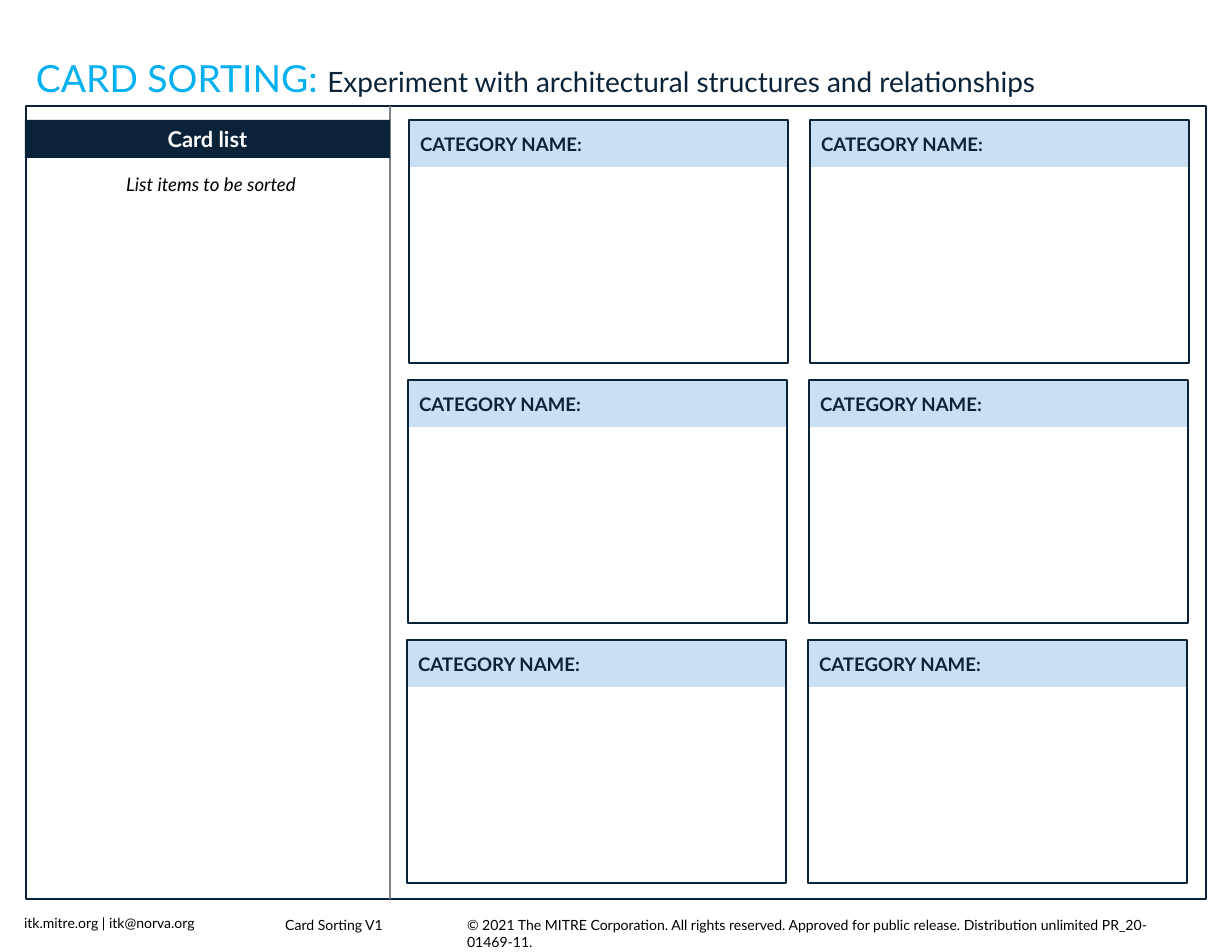
from dataclasses import dataclass
from typing import NamedTuple

from lxml import etree
from pptx import Presentation
from pptx.dml.color import RGBColor
from pptx.enum.shapes import MSO_CONNECTOR, MSO_SHAPE
from pptx.enum.text import MSO_ANCHOR, PP_ALIGN
from pptx.oxml.ns import qn
from pptx.util import Emu, Pt

RECTANGLE = MSO_SHAPE.RECTANGLE
STRAIGHT = MSO_CONNECTOR.STRAIGHT
TOP, MIDDLE = MSO_ANCHOR.TOP, MSO_ANCHOR.MIDDLE
LEFT, CENTER = PP_ALIGN.LEFT, PP_ALIGN.CENTER
PX_PER_INCH = 112


@dataclass(frozen=True)
class Theme:
    font: str = "Lato"
    navy: str = "0B2338"
    cyan: str = "00B0F0"
    pale_blue: str = "C8DFF4"
    gray: str = "7E8284"
    white: str = "FFFFFF"
    black: str = "000000"
    title_size: int = 24
    subtitle_size: int = 18
    list_heading_size: int = 14
    body_size: int = 12
    footer_size: int = 9
    border: float = 1.5
    hairline: float = 0.75


class Box(NamedTuple):
    left: int
    top: int
    width: int
    height: int


class Span(NamedTuple):
    text: str
    size: int
    color: str
    bold: bool = False
    italic: bool = False


@dataclass(frozen=True)
class Label:
    box: Box
    spans: tuple[Span, ...]
    align: PP_ALIGN = LEFT
    wrap: bool = True


THEME = Theme()
FRAME = Box(26, 106, 1180, 793)
LIST_HEADING = Box(25, 120, 365, 38)
DIVIDER_X = 390
CARD = Box(409, 120, 379, 243)
CARD_COLUMNS, CARD_ROWS = 2, 3
COLUMN_STEP, ROW_STEP = 401, 260
ROW_DRIFT = 1
CATEGORY_HEIGHT = 46

LABELS = (
    Label(Box(25, 50, 1167, 56), (
        Span("CARD SORTING: ", THEME.title_size, THEME.cyan),
        Span("Experiment with architectural structures and relationships",
             THEME.subtitle_size, THEME.navy))),
    Label(Box(35, 167, 352, 34), (
        Span("List items to be sorted", THEME.body_size, THEME.black, italic=True),), CENTER),
    Label(Box(13, 909, 193, 28), (
        Span("itk.mitre.org | itk@norva.org", THEME.footer_size, THEME.black),), wrap=False),
    Label(Box(456, 911, 714, 28), (
        Span("© 2021 The MITRE Corporation. All rights reserved. Approved for public "
             "release. Distribution unlimited PR_20-01469-11.",
             THEME.footer_size, THEME.black),)),
    Label(Box(274, 911, 120, 28), (
        Span("Card Sorting V1", THEME.footer_size, THEME.black),), CENTER, wrap=False),
)


def px(length: int) -> Emu:
    return Emu(round(length * 914400 / PX_PER_INCH))


def place(box: Box) -> tuple[Emu, ...]:
    return tuple(px(length) for length in box)


def write(frame, spans: tuple[Span, ...], align: PP_ALIGN) -> None:
    paragraph = frame.paragraphs[0]
    paragraph.alignment = align
    for span in spans:
        run = paragraph.add_run()
        run.text = span.text
        run.font.name = THEME.font
        run.font.size = Pt(span.size)
        run.font.bold = span.bold
        run.font.italic = span.italic
        run.font.color.rgb = RGBColor.from_string(span.color)


def add_label(slide, label: Label) -> None:
    frame = slide.shapes.add_textbox(*place(label.box)).text_frame
    frame.word_wrap = label.wrap
    write(frame, label.spans, label.align)


def add_band(slide, box: Box, fill: str, heading: Span, align: PP_ALIGN,
             anchor: MSO_ANCHOR) -> None:
    """Draw a filled heading strip without a border."""
    band = slide.shapes.add_shape(RECTANGLE, *place(box))
    band.shadow.inherit = False
    band.fill.solid()
    band.fill.fore_color.rgb = RGBColor.from_string(fill)
    band.line.fill.background()
    band.text_frame.vertical_anchor = anchor
    band.text_frame.word_wrap = True
    write(band.text_frame, (heading,), align)


def add_outline(slide, box: Box) -> None:
    outline = slide.shapes.add_shape(RECTANGLE, *place(box))
    outline.shadow.inherit = False
    outline.fill.background()
    outline.line.color.rgb = RGBColor.from_string(THEME.navy)
    outline.line.width = Pt(THEME.border)


def add_divider(slide) -> None:
    divider = slide.shapes.add_connector(
        STRAIGHT, px(DIVIDER_X), px(FRAME.top), px(DIVIDER_X), px(FRAME.top + FRAME.height))
    divider.line.color.rgb = RGBColor.from_string(THEME.gray)
    divider.line.width = Pt(THEME.hairline)
    etree.SubElement(divider._element.spPr, qn("a:effectLst"))


def add_category(slide, row: int, column: int) -> None:
    card = CARD._replace(left=CARD.left + column * COLUMN_STEP - row * ROW_DRIFT,
                         top=CARD.top + row * ROW_STEP)
    strip = Box(card.left, card.top + 1, card.width, CATEGORY_HEIGHT)
    heading = Span("CATEGORY NAME:", THEME.body_size, THEME.navy, bold=True)
    add_band(slide, strip, THEME.pale_blue, heading, LEFT, MIDDLE)
    add_outline(slide, card)


def main() -> None:
    deck = Presentation()
    deck.slide_width, deck.slide_height = px(1232), px(952)
    slide = deck.slides.add_slide(deck.slide_layouts[6])

    add_outline(slide, FRAME)
    add_divider(slide)
    list_heading = Span("Card list", THEME.list_heading_size, THEME.white, bold=True)
    add_band(slide, LIST_HEADING, THEME.navy, list_heading, CENTER, TOP)
    for row in range(CARD_ROWS):
        for column in range(CARD_COLUMNS):
            add_category(slide, row, column)
    for label in LABELS:
        add_label(slide, label)

    deck.save("out.pptx")


if __name__ == "__main__":
    main()
